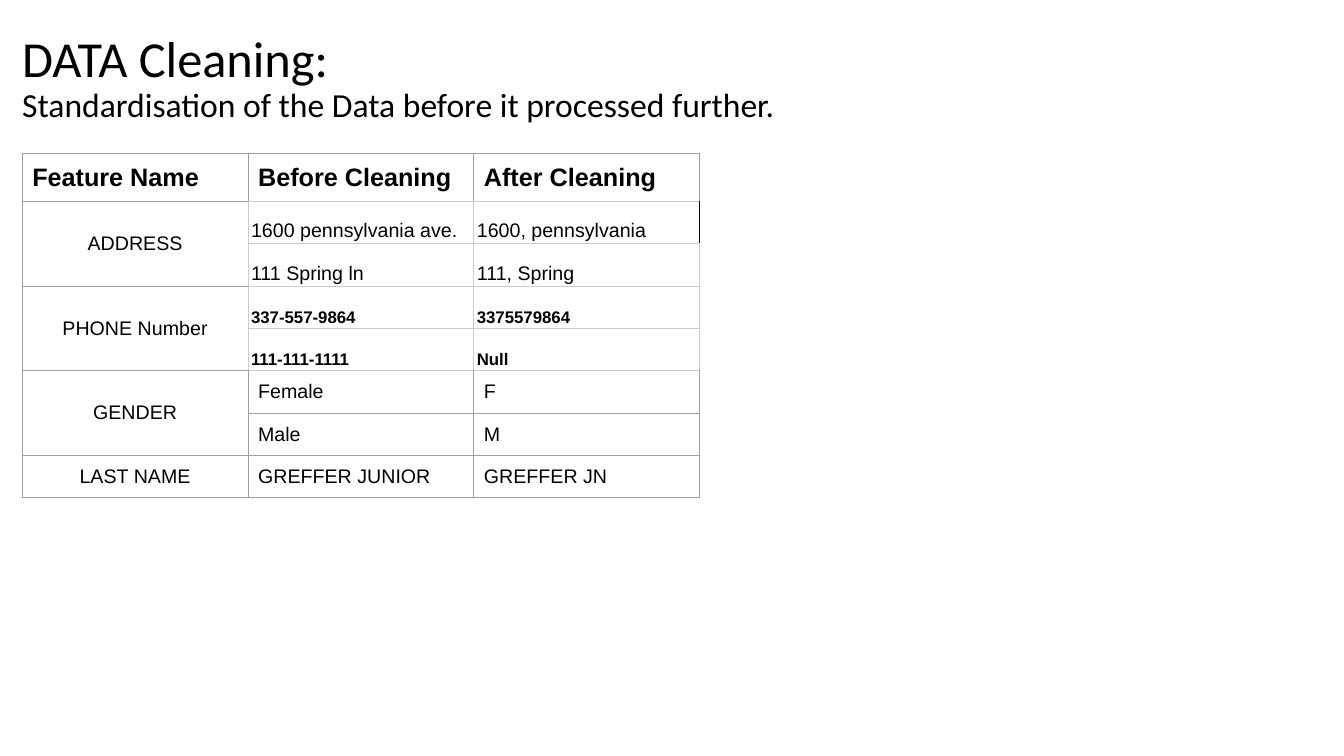
import pptx
import pptx.dml.color
import pptx.enum.text
import pptx.oxml
import pptx.oxml.ns
import pptx.util

Inches = pptx.util.Inches
Pt = pptx.util.Pt
Align = pptx.enum.text.PP_ALIGN
Anchor = pptx.enum.text.MSO_ANCHOR
BLACK = pptx.dml.color.RGBColor(0x00, 0x00, 0x00)
WHITE = pptx.dml.color.RGBColor(0xFF, 0xFF, 0xFF)
GREY = pptx.dml.color.RGBColor(0x9E, 0x9E, 0x9E)
LIGHT_GREY = pptx.dml.color.RGBColor(0xCC, 0xCC, 0xCC)

HEADLINE = [("DATA Cleaning:", 36),
            ("Standardisation of the Data before it processed further.", 24)]
FEATURES = [
    ("Feature Name", "Before Cleaning", "After Cleaning"),
    ("ADDRESS", "1600 pennsylvania ave.", "1600, pennsylvania"),
    ("", "111 Spring ln", "111, Spring"),
    ("PHONE Number", "337-557-9864", "3375579864"),
    ("", "111-111-1111", "Null"),
    ("GENDER", "Female", "F"),
    ("", "Male", "M"),
    ("LAST NAME", "GREFFER JUNIOR", "GREFFER JN"),
]
ADDRESS_ROW = 1
PHONE_ROWS = (3, 4)
SHEET_ROWS = range(1, 5)
SIDES = {"L": (0, -1), "R": (0, 1), "T": (-1, 0), "B": (1, 0)}


def from_sheet(row, column):
    return row in SHEET_ROWS and column in (1, 2)


class SlideBuilder:
    title_font = "Calibri"
    table_font = "Arial"

    def __init__(self, slide):
        self.slide = slide

    def format_paragraph(self, paragraph, font, size, bold=False):
        for run in paragraph.runs:
            run.font.name = font
            run.font.size = Pt(size)
            run.font.bold = bold
            run.font.color.rgb = BLACK

    def title(self, lines, left, top, width, height):
        title = self.slide.shapes.title
        title.left, title.top = Inches(left), Inches(top)
        title.width, title.height = Inches(width), Inches(height)
        frame = title.text_frame
        frame.text = "\n".join(text for text, size in lines)
        frame.word_wrap = True
        frame.auto_size = pptx.enum.text.MSO_AUTO_SIZE.NONE
        frame.vertical_anchor = Anchor.BOTTOM
        for paragraph, (text, size) in zip(frame.paragraphs, lines):
            paragraph.alignment = Align.LEFT
            paragraph.line_spacing = 0.9
            paragraph.space_before = Pt(0)
            self.format_paragraph(paragraph, self.title_font, size)

    def border(self, cell, side, color):
        line = pptx.oxml.parse_xml(
            f'<a:ln{side} {pptx.oxml.ns.nsdecls("a")} w="{Pt(0.75)}">'
            f'<a:solidFill><a:srgbClr val="{color}"/></a:solidFill></a:ln{side}>')
        cell._tc.get_or_add_tcPr().append(line)

    def cell(self, cell, text, row, column):
        in_sheet = from_sheet(row, column)
        for side, (down, across) in SIDES.items():
            light = in_sheet or from_sheet(row + down, column + across)
            edge = LIGHT_GREY if light else GREY
            if (row, column, side) == (ADDRESS_ROW, 2, "R"):
                edge = BLACK
            self.border(cell, side, edge)
        if in_sheet and row not in PHONE_ROWS:
            cell.fill.solid()
            cell.fill.fore_color.rgb = WHITE
        else:
            cell.fill.background()
        across, down = (0.03, 0.02) if in_sheet else (0.1, 0.1)
        cell.margin_left = cell.margin_right = Inches(across)
        cell.margin_top = cell.margin_bottom = Inches(down)
        is_label = column == 0 and row > 0
        cell.vertical_anchor = (Anchor.BOTTOM if in_sheet
                                else Anchor.MIDDLE if is_label else Anchor.TOP)
        cell.text_frame.text = text
        paragraph = cell.text_frame.paragraphs[0]
        paragraph.alignment = Align.CENTER if is_label else Align.LEFT
        if in_sheet:
            paragraph.line_spacing = 1.15
        is_phone = in_sheet and row in PHONE_ROWS
        size = 18 if row == 0 else 12 if is_phone else 14
        self.format_paragraph(paragraph, self.table_font, size, row == 0 or is_phone)

    def table(self, rows, left, top, column_width, header_height, row_height):
        columns = len(rows[0])
        height = header_height + row_height * (len(rows) - 1)
        table = self.slide.shapes.add_table(
            len(rows), columns, Inches(left), Inches(top),
            Inches(column_width * columns), Inches(height)).table
        table.first_row = table.horz_banding = False
        for column in table.columns:
            column.width = Inches(column_width)
        for r, texts in enumerate(rows):
            table.rows[r].height = Inches(row_height if r else header_height)
            for c, text in enumerate(texts):
                self.cell(table.cell(r, c), text, r, c)
        for r, texts in enumerate(rows):
            if not texts[0]:
                table.cell(r - 1, 0).merge(table.cell(r, 0))


presentation = pptx.Presentation()
presentation.slide_width = Inches(13.33)
presentation.slide_height = Inches(7.5)
title_only = presentation.slide_layouts[5]
builder = SlideBuilder(presentation.slides.add_slide(title_only))
builder.title(HEADLINE, 0.12, 0.29, 12.63, 1)
builder.table(FEATURES, 0.22, 1.52, 2.24, 0.48, 0.42)
presentation.save("out.pptx")
